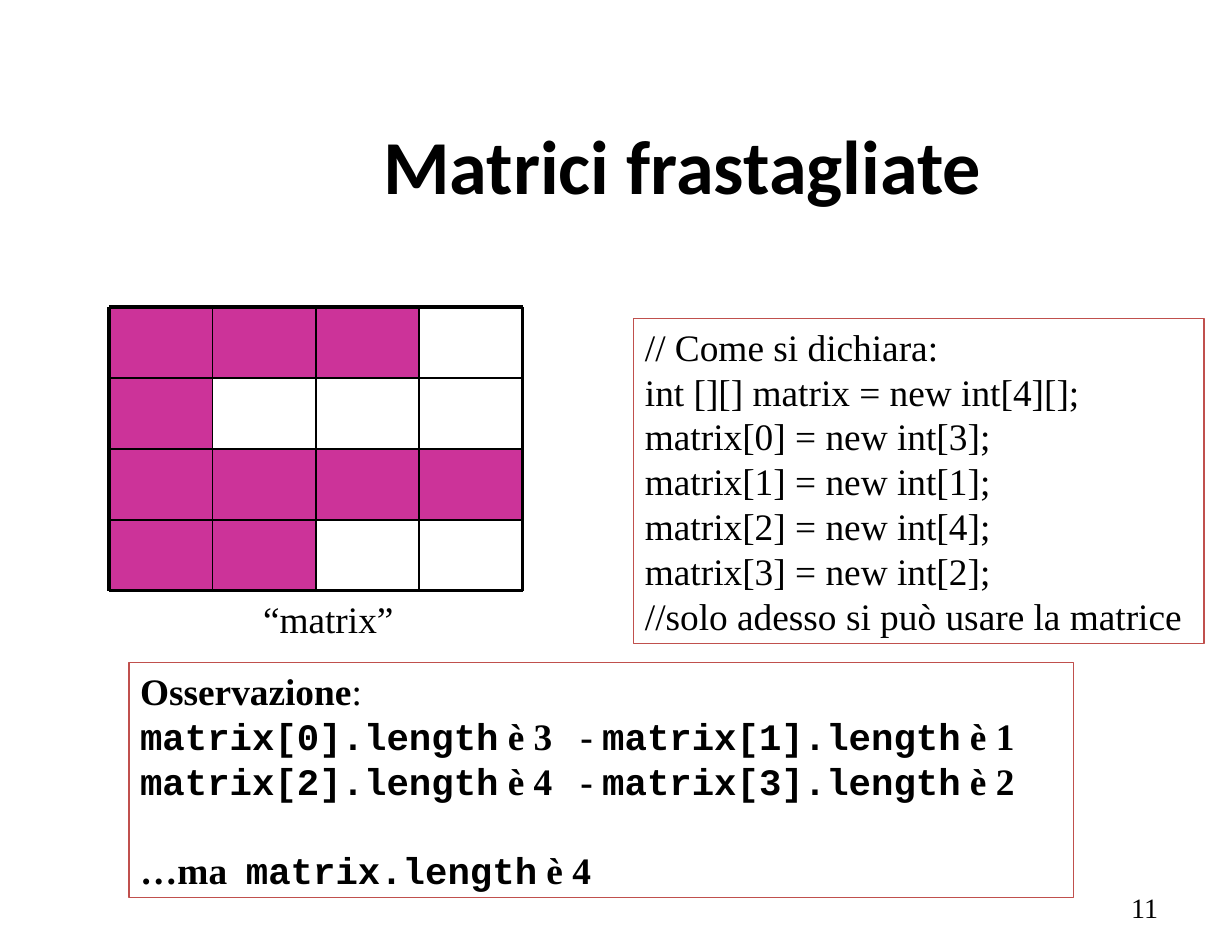
from dataclasses import dataclass

from lxml import etree
from pptx import Presentation
from pptx.dml.color import RGBColor
from pptx.enum.shapes import MSO_CONNECTOR, MSO_SHAPE
from pptx.enum.text import MSO_ANCHOR, MSO_AUTO_SIZE, PP_ALIGN
from pptx.oxml.ns import qn
from pptx.util import Pt

RECTANGLE = MSO_SHAPE.RECTANGLE
STRAIGHT = MSO_CONNECTOR.STRAIGHT
TOP, MIDDLE = MSO_ANCHOR.TOP, MSO_ANCHOR.MIDDLE
LEFT, CENTER, RIGHT = PP_ALIGN.LEFT, PP_ALIGN.CENTER, PP_ALIGN.RIGHT
NO_AUTOFIT, GROW = MSO_AUTO_SIZE.NONE, MSO_AUTO_SIZE.SHAPE_TO_FIT_TEXT


@dataclass(frozen=True)
class Theme:
    ink: RGBColor = RGBColor(0x00, 0x00, 0x00)
    cell: RGBColor = RGBColor(0xCC, 0x33, 0x99)
    frame: RGBColor = RGBColor(0xC0, 0x50, 0x4D)
    title_font: str = "Calibri"
    body_font: str = "Times New Roman"
    code_font: str = "Courier New"
    title_size: float = 49
    body_size: float = 24
    number_size: float = 18
    line_pitch: float = 28.8


@dataclass(frozen=True)
class Box:
    left: float
    top: float
    width: float
    height: float

    def lengths(self) -> tuple:
        return Pt(self.left), Pt(self.top), Pt(self.width), Pt(self.height)


@dataclass(frozen=True)
class Span:
    text: str
    bold: bool = False
    code: bool = False


@dataclass(frozen=True)
class Line:
    spans: tuple[Span, ...]
    space_before: float = 0


@dataclass(frozen=True)
class Grid:
    left: float
    top: float
    cell_width: float
    cell_height: float
    columns: int
    row_lengths: tuple[int, ...]


THEME = Theme()
MATRIX = Grid(70, 197.5, 66.5, 45.55, 4, (3, 1, 4, 2))
DECLARATION = (
    "// Come si dichiara:",
    "int [][] matrix = new int[4][];",
    *(f"matrix[{row}] = new int[{length}];" for row, length in enumerate(MATRIX.row_lengths)),
    "//solo adesso si può usare la matrice",
)


def format_run(run, font_name: str, size: float, bold: bool = False) -> None:
    run.font.name = font_name
    run.font.size = Pt(size)
    run.font.bold = bold
    run.font.color.rgb = THEME.ink


def set_frame(text_frame, anchor, auto_size, horizontal: float, vertical: float) -> None:
    text_frame.word_wrap = True
    text_frame.auto_size = auto_size
    text_frame.vertical_anchor = anchor
    text_frame.margin_left = text_frame.margin_right = Pt(horizontal)
    text_frame.margin_top = text_frame.margin_bottom = Pt(vertical)


def write_single(shape, text: str, alignment, font_name: str, size: float, bold: bool = False) -> None:
    """Fill a title or page number, centred vertically."""
    text_frame = shape.text_frame
    text_frame.text = text
    set_frame(text_frame, MIDDLE, NO_AUTOFIT, 8, 4)
    paragraph = text_frame.paragraphs[0]
    paragraph.alignment = alignment
    format_run(paragraph.runs[0], font_name, size, bold)


def write_lines(shape, lines: list[Line]) -> None:
    text_frame = shape.text_frame
    set_frame(text_frame, TOP, GROW, 7.2, 3.6)
    for index, line in enumerate(lines):
        paragraph = text_frame.add_paragraph() if index else text_frame.paragraphs[0]
        paragraph.alignment = LEFT
        paragraph.line_spacing = Pt(THEME.line_pitch)
        paragraph.space_before = Pt(line.space_before)
        for span in line.spans:
            run = paragraph.add_run()
            run.text = span.text
            font_name = THEME.code_font if span.code else THEME.body_font
            format_run(run, font_name, THEME.body_size, span.bold)


def plain_lines(*texts: str) -> list[Line]:
    return [Line((Span(text),)) for text in texts]


def length_spans(row: int, ending: str = "") -> tuple[Span, ...]:
    return (
        Span(f"matrix[{row}].length", bold=True, code=True),
        Span(f" è {MATRIX.row_lengths[row]}{ending}", bold=True),
    )


def add_framed_text(slide, box: Box, lines: list[Line]) -> None:
    shape = slide.shapes.add_shape(RECTANGLE, *box.lengths())
    shape.shadow.inherit = False
    shape.fill.background()
    shape.line.color.rgb = THEME.frame
    shape.line.width = Pt(0.75)
    write_lines(shape, lines)


def add_rule(slide, start: tuple[float, float], end: tuple[float, float], width: float) -> None:
    rule = slide.shapes.add_connector(STRAIGHT, *(Pt(value) for value in start + end))
    rule.line.color.rgb = THEME.ink
    rule.line.width = Pt(width)
    etree.SubElement(rule._element.spPr, qn("a:effectLst"))


def add_matrix(slide, grid: Grid) -> None:
    """Draw the existing cells, then the rules with a heavier border."""
    rows = len(grid.row_lengths)
    xs = [grid.left + column * grid.cell_width for column in range(grid.columns + 1)]
    ys = [grid.top + row * grid.cell_height for row in range(rows + 1)]
    for y, length in zip(ys, grid.row_lengths):
        for x in xs[:length]:
            box = Box(x, y, grid.cell_width, grid.cell_height)
            cell = slide.shapes.add_shape(RECTANGLE, *box.lengths())
            cell.shadow.inherit = False
            cell.fill.solid()
            cell.fill.fore_color.rgb = THEME.cell
            cell.line.fill.background()
    for y in ys:
        add_rule(slide, (xs[0], y), (xs[-1], y), 2.25 if y in (ys[0], ys[-1]) else 1)
    for x in xs:
        add_rule(slide, (x, ys[0]), (x, ys[-1]), 2.25 if x in (xs[0], xs[-1]) else 1)


def main() -> None:
    presentation = Presentation()
    presentation.slide_width, presentation.slide_height = Pt(792), Pt(612)
    slide = presentation.slides.add_slide(presentation.slide_layouts[5])

    title = slide.shapes.title
    title.left, title.top, title.width, title.height = Box(119, 54.5, 639, 102).lengths()
    write_single(title, "Matrici frastagliate", CENTER, THEME.title_font, THEME.title_size, True)
    page_number = slide.shapes.add_textbox(*Box(567.5, 567, 185, 32.5).lengths())
    write_single(page_number, "11", RIGHT, THEME.body_font, THEME.number_size)

    add_matrix(slide, MATRIX)
    add_framed_text(slide, Box(407.5, 204.8, 366.5, 208.8), plain_lines(*DECLARATION))
    label = slide.shapes.add_textbox(*Box(162, 379.5, 104, 36).lengths())
    write_lines(label, plain_lines("“matrix”"))

    observation = [
        Line((Span("Osservazione", bold=True), Span(":"))),
        *(Line(length_spans(row, "   - ") + length_spans(row + 1)) for row in (0, 2)),
        Line(
            (
                Span("…ma  ", bold=True),
                Span("matrix.length", bold=True, code=True),
                Span(" è 4", bold=True),
            ),
            space_before=THEME.line_pitch,
        ),
    ]
    add_framed_text(slide, Box(83, 426, 607, 151.2), observation)
    presentation.save("out.pptx")


if __name__ == "__main__":
    main()
